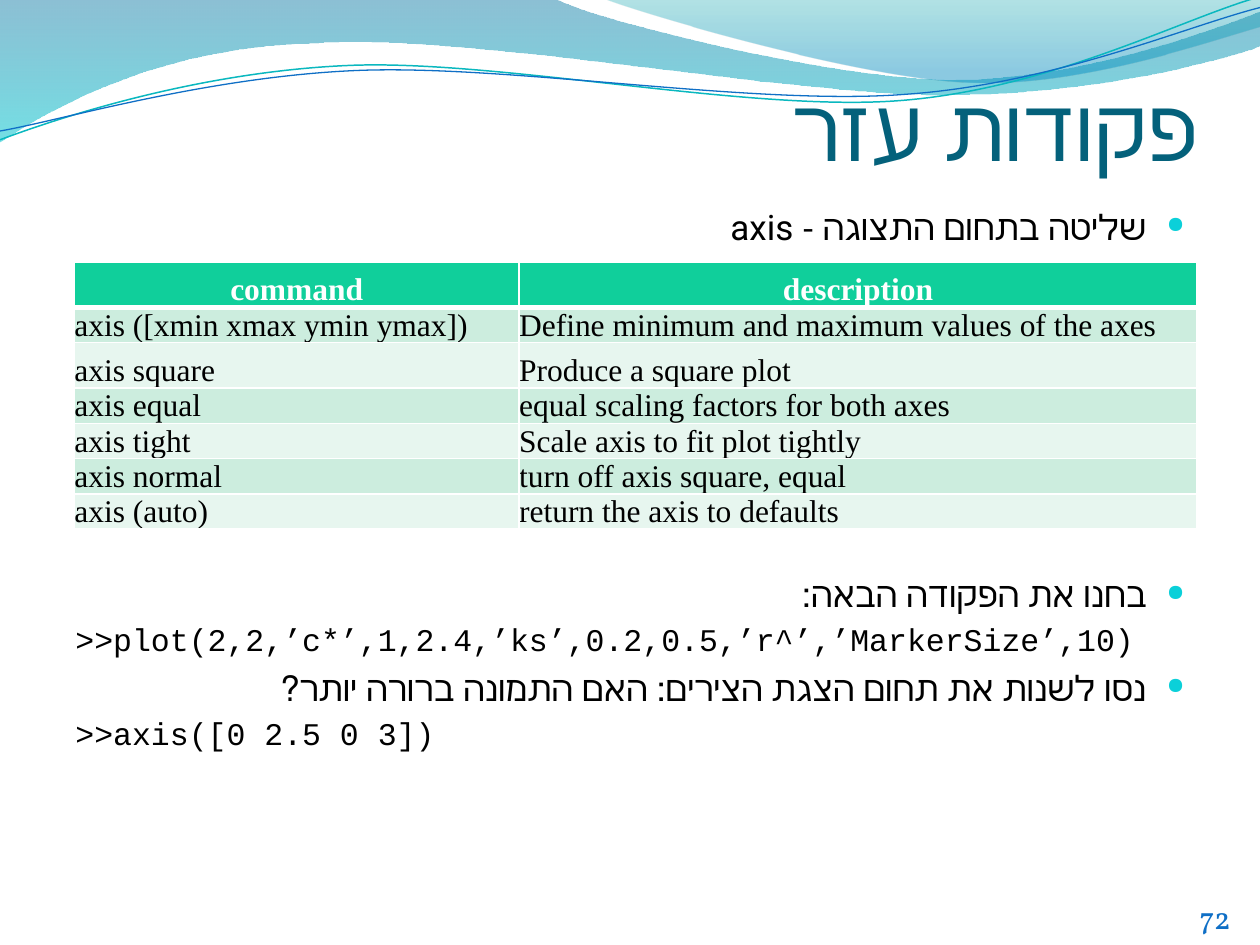
from lxml.etree import SubElement
from pptx import Presentation
from pptx.dml.color import RGBColor
from pptx.enum.text import MSO_ANCHOR as Anchor, PP_ALIGN as Align
from pptx.oxml.ns import qn
from pptx.util import Inches, Pt

COLUMNS, ROWS = 10, 7.5
CELL = Inches(1)  # the slide is a grid of square cells

# Each wave is a start point, then line ends (x, y) or cubic curves (six numbers).
DEEP_WAVE = [
    (0, 0), (4.4, -0.01), (4.76, 0.17, 6.64, 0.63, 7.58, 0.63),
    (8.53, 0.63, 9.58, 0.26, 10, 0.09), (10.01, 0.36),
    (9.83, 0.44, 8.7, 0.76, 7.46, 0.75), (6.22, 0.75, 3.82, 0.28, 2.57, 0.34),
    (1.29, 0.36, 0.46, 0.83, -0.01, 1.13), (0, 0)]
LIGHT_WAVE = [
    (4.79, -0.01), (5.09, 0.11, 6.82, 0.62, 7.69, 0.65),
    (8.56, 0.69, 9.61, 0.32, 10, 0.21), (10, 0), (4.79, -0.01)]
TEAL_LINE = [
    (0, 1.11), (0.48, 0.93, 1.58, 0.57, 2.77, 0.52),
    (3.95, 0.47, 5.93, 0.89, 7.13, 0.8), (8.33, 0.71, 9.38, 0.15, 9.98, -0.02)]
BLUE_LINE = [
    (0, 1.04), (0.47, 0.96, 1.64, 0.61, 2.83, 0.56),
    (4.03, 0.51, 5.97, 0.84, 7.17, 0.75), (8.36, 0.67, 9.41, 0.21, 10, 0.06)]

COMMANDS = [
    ("command", "description"),
    ("axis ([xmin xmax ymin ymax])", "Define minimum and maximum values of the axes"),
    ("axis square", "Produce a square plot"),
    ("axis equal", "equal scaling factors for both axes"),
    ("axis tight", "Scale axis to fit plot tightly"),
    ("axis normal", "turn off axis square, equal"),
    ("axis (auto)", "return the axis to defaults")]
COLUMN_WIDTHS = (3.53, 5.38)
TALL_ROW, LOW_ROW = 0.36, 0.28
TABLE_GAP = 186  # points left free for the table


def cells(*counts):
    return [int(count * CELL) for count in counts]


def color(hex_text):
    return RGBColor.from_string(hex_text)


def add_outline(slide, wave, close):
    """Draw the wave through all its points, then join each curve's three into one."""
    points = [cells(*segment[i:i + 2]) for segment in wave
              for i in range(0, len(segment), 2)]
    builder = slide.shapes.build_freeform(*points[0])
    builder.add_line_segments(points[1:], close=close)
    shape = builder.convert_to_shape()
    shape.shadow.inherit = False
    lines = iter(list(shape._element.iter(qn("a:lnTo"))))
    for segment in wave[1:]:
        first = next(lines)
        if len(segment) == 6:
            first.tag = qn("a:cubicBezTo")
            for line in (next(lines), next(lines)):
                first.append(line[0])
                line.getparent().remove(line)
    return shape


def add_wave(slide, wave, stops):
    """Add a top-to-bottom gradient; a stop is position, colour and opacity in percent."""
    shape = add_outline(slide, wave, True)
    shape.line.fill.background()
    shape.fill.gradient()
    shape.fill.gradient_angle = 270
    for stop, (position, hex_text, opacity) in zip(shape.fill.gradient_stops, stops):
        stop.position = position / 100
        stop.color.rgb = color(hex_text)
    found = shape._element.spPr.iter(qn("a:srgbClr"))
    for element, (_, _, opacity) in zip(list(found), stops):
        SubElement(element, qn("a:alpha"), val=str(opacity * 1000))


def add_wave_line(slide, wave, hex_text, width):
    shape = add_outline(slide, wave, False)
    shape.fill.background()
    shape.line.color.rgb = color(hex_text)
    shape.line.width = Pt(width)


def add_text_box(slide, *place):
    frame = slide.shapes.add_textbox(*cells(*place)).text_frame
    frame.word_wrap = True
    return frame


def add_run(paragraph, text, font, size, hex_text="000000", bold=False):
    run = paragraph.add_run()
    run.text = text
    run.font.name = font
    run.font.size = Pt(size)
    run.font.bold = bold
    run.font.color.rgb = color(hex_text)


def set_right_to_left(paragraph):
    paragraph.alignment = Align.RIGHT
    paragraph._p.get_or_add_pPr().set("rtl", "1")


def hang(paragraph, space_before):
    paragraph.space_before = Pt(space_before)
    properties = paragraph._p.get_or_add_pPr()
    properties.set("marL", str(Inches(0.3)))
    properties.set("indent", str(-Inches(0.3)))
    return properties


def add_bullet(paragraph, text, space_before=4.7):
    set_right_to_left(paragraph)
    properties = hang(paragraph, space_before)
    bullet_color = SubElement(properties, qn("a:buClr"))
    SubElement(bullet_color, qn("a:srgbClr"), val="0BD0D9")
    SubElement(properties, qn("a:buSzPct"), val="65000")
    SubElement(properties, qn("a:buChar"), char="●")
    add_run(paragraph, text, "Roboto", 20)


def add_code(paragraph, text):
    hang(paragraph, 3.2)
    add_run(paragraph, text, "Courier New", 18)


def add_body(slide):
    frame = add_text_box(slide, 0.5, 1.58, 9, 5.33)
    add_bullet(frame.paragraphs[0], "שליטה בתחום התצוגה - axis")
    add_bullet(frame.add_paragraph(), "בחנו את הפקודה הבאה:", TABLE_GAP)
    add_code(frame.add_paragraph(),
             ">>plot(2,2,’c*’,1,2.4,’ks’,0.2,0.5,’r^’,’MarkerSize’,10)")
    add_bullet(frame.add_paragraph(),
               "נסו לשנות את תחום הצגת הצירים: האם התמונה ברורה יותר?")
    add_code(frame.add_paragraph(), ">>axis([0 2.5 0 3])")


def set_borders(cell, bottom_width):
    properties = cell._tc.get_or_add_tcPr()
    for side, width in (("L", 1), ("R", 1), ("T", 1), ("B", bottom_width)):
        line = SubElement(properties, qn("a:ln" + side), w=str(Pt(width)))
        SubElement(SubElement(line, qn("a:solidFill")), qn("a:srgbClr"), val="FFFFFF")


def fill_cell(cell, text, row):
    header = row == 0
    set_borders(cell, 3 if header else 1)
    cell.fill.solid()
    cell.fill.fore_color.rgb = color(
        "10CF9B" if header else "CCEDDE" if row % 2 else "E7F6EF")
    cell.margin_left = cell.margin_right = cell.margin_top = cell.margin_bottom = 0
    cell.vertical_anchor = Anchor.BOTTOM
    paragraph = cell.text_frame.paragraphs[0]
    paragraph.alignment = Align.CENTER if header else Align.LEFT
    paragraph.line_spacing = 0.92
    add_run(paragraph, text, "Times New Roman", 18,
            "FFFFFF" if header else "000000", header)


def add_command_table(slide):
    heights = [TALL_ROW if row in (0, 2) else LOW_ROW for row in range(len(COMMANDS))]
    place = cells(0.59, 2.08, sum(COLUMN_WIDTHS), sum(heights))
    table = slide.shapes.add_table(len(COMMANDS), len(COLUMN_WIDTHS), *place).table
    for column, width in zip(table.columns, cells(*COLUMN_WIDTHS)):
        column.width = width
    for row, height in enumerate(cells(*heights)):
        table.rows[row].height = height
        for column, text in enumerate(COMMANDS[row]):
            fill_cell(table.cell(row, column), text, row)


def add_title(slide, text):
    frame = add_text_box(slide, 0.5, 0, 9, 1.42)
    frame.margin_left = frame.margin_right = frame.margin_bottom = 0
    frame.vertical_anchor = Anchor.BOTTOM
    set_right_to_left(frame.paragraphs[0])
    add_run(frame.paragraphs[0], text, "Roboto", 50, "04617B")


def main():
    presentation = Presentation()
    presentation.slide_width, presentation.slide_height = cells(COLUMNS, ROWS)
    slide = presentation.slides.add_slide(presentation.slide_layouts[6])
    add_wave(slide, DEEP_WAVE, [(0, "0074A1", 45), (100, "00C6CF", 55)])
    add_wave(slide, LIGHT_WAVE, [(0, "00A1A9", 30), (80, "008BBF", 45)])
    add_wave_line(slide, TEAL_LINE, "0AB8BF", 0.85)
    add_wave_line(slide, BLUE_LINE, "0F6FC6", 0.75)
    page_number = add_text_box(slide, 9.42, 7.08, 0.58, 0.4)
    add_run(page_number.paragraphs[0], "72", "Vollkorn", 18, "0F6FC6")
    add_title(slide, "פקודות עזר")
    add_body(slide)
    add_command_table(slide)
    presentation.save("out.pptx")


if __name__ == "__main__":
    main()
